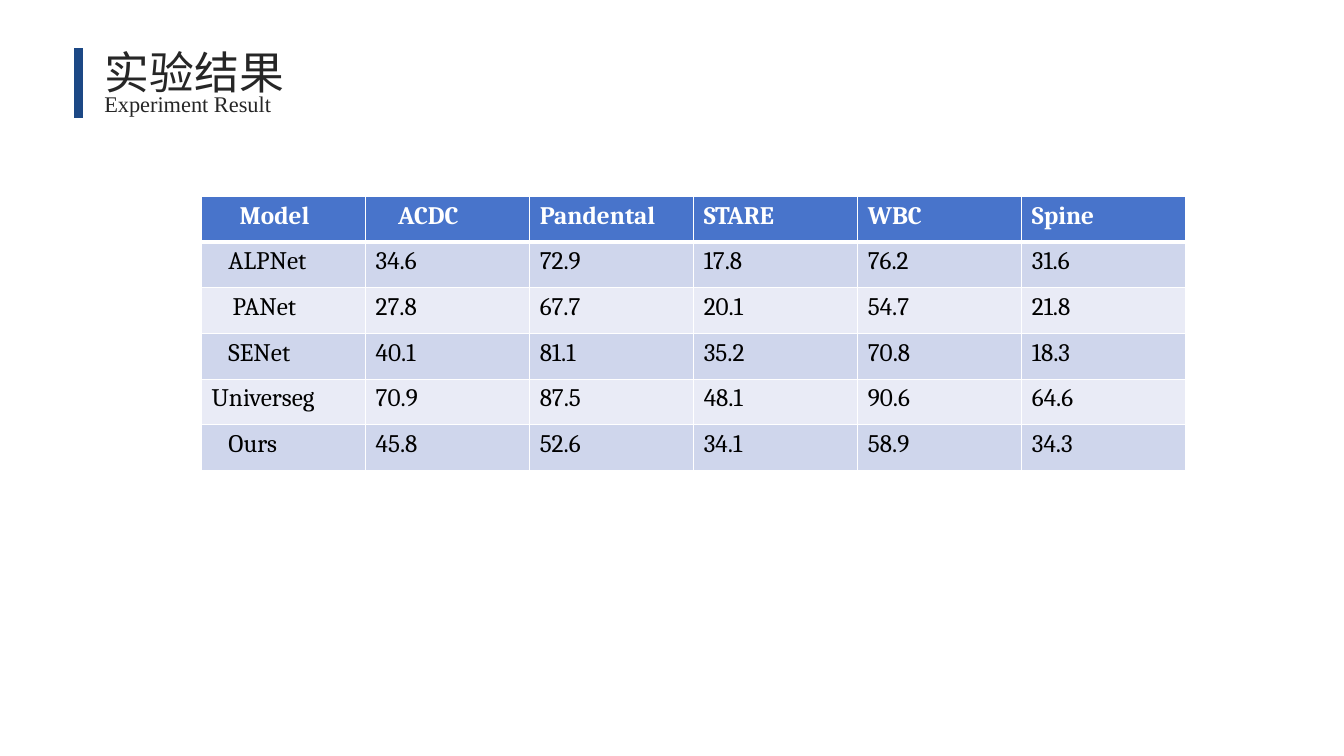
"""Build the experiment result slide: heading, accent bar and score table."""
from lxml import etree
from pptx import Presentation
from pptx.dml.color import RGBColor
from pptx.enum import shapes, text
from pptx.oxml import ns
from pptx.util import Pt

WHITE = RGBColor(0xFF, 0xFF, 0xFF)
BLACK = RGBColor(0, 0, 0)
INK = RGBColor(0x26, 0x26, 0x26)
NAVY = RGBColor(0x1C, 0x48, 0x85)
BLUE = RGBColor(0x48, 0x74, 0xCB)
BANDS = [RGBColor(0xE9, 0xEB, 0xF6), RGBColor(0xCF, 0xD6, 0xEC)]

ROWS = [
    ["Model", "ACDC", "Pandental", "STARE", "WBC", "Spine"],
    ["ALPNet", "34.6", "72.9", "17.8", "76.2", "31.6"],
    ["PANet", "27.8", "67.7", "20.1", "54.7", "21.8"],
    ["SENet", "40.1", "81.1", "35.2", "70.8", "18.3"],
    ["Universeg", "70.9", "87.5", "48.1", "90.6", "64.6"],
    ["Ours", "45.8", "52.6", "34.1", "58.9", "34.3"],
]
INDENT = {"Model": 20, "ACDC": 16, "ALPNet": 12, "PANet": 15, "SENet": 12, "Ours": 12}
PAD = 7.2
WIDE, HIGH = 117.2, 32.6


def style(para, name, size, color, bold=False):
    font = para.font
    font.color.rgb = color
    for key, value in {"name": name, "size": Pt(size), "bold": bold}.items():
        setattr(font, key, value)


def edge(cell, side, width):
    line = etree.SubElement(cell._tc.get_or_add_tcPr(), ns.qn("a:" + side), w=str(Pt(width)))
    fill = etree.SubElement(line, ns.qn("a:solidFill"))
    etree.SubElement(fill, ns.qn("a:srgbClr"), val=str(WHITE))


deck = Presentation()
deck.slide_width, deck.slide_height = Pt(960), Pt(540)
slide = deck.slides.add_slide(deck.slide_layouts[5])

grid = slide.shapes.add_table(
    len(ROWS), len(ROWS[0]), Pt(144), Pt(140.4), Pt(WIDE * len(ROWS[0])), Pt(HIGH * len(ROWS))
).table
for col in grid.columns:
    col.width = Pt(WIDE)
for r, row in enumerate(ROWS):
    grid.rows[r].height = Pt(HIGH)
    head = r == 0
    for c, word in enumerate(row):
        cell = grid.cell(r, c)
        cell.text = word
        cell.margin_left = Pt(PAD + INDENT.get(word, 0))
        for side in ("lnL", "lnR", "lnT", "lnB"):
            thick = (head and side == "lnB") or (r == 1 and side == "lnT")
            edge(cell, side, 3 if thick else 1)
        cell.fill.solid()
        cell.fill.fore_color.rgb = BLUE if head else BANDS[r % 2]
        style(cell.text_frame.paragraphs[0], "Cambria", 18, WHITE if head else BLACK, head)

title = slide.shapes.title
sub = slide.shapes.add_textbox(0, 0, 0, 0)
for box, words, left, top, width, height, size in [
    (title, "实验结果", 67.7, 28.1, 260, 46, 32),
    (sub, "Experiment Result", 67.4, 61.2, 255, 26.6, 16),
]:
    place = {"left": left, "top": top, "width": width, "height": height}
    for key, value in place.items():
        setattr(box, key, Pt(value))
    frame = box.text_frame
    frame.text = words
    form = {
        "word_wrap": True,
        "auto_size": text.MSO_AUTO_SIZE.SHAPE_TO_FIT_TEXT,
        "vertical_anchor": text.MSO_ANCHOR.TOP,
    }
    for key, value in form.items():
        setattr(frame, key, value)
    para = frame.paragraphs[0]
    para.alignment = text.PP_ALIGN.LEFT
    style(para, "Times New Roman", size, INK)

bar = slide.shapes.add_connector(
    shapes.MSO_CONNECTOR.STRAIGHT, Pt(56.2), Pt(34.6), Pt(56.2), Pt(84.2)
)
bar.line.color.rgb = NAVY
bar.line.width = Pt(6)
etree.SubElement(bar._element.spPr, ns.qn("a:effectLst"))

deck.save("out.pptx")
